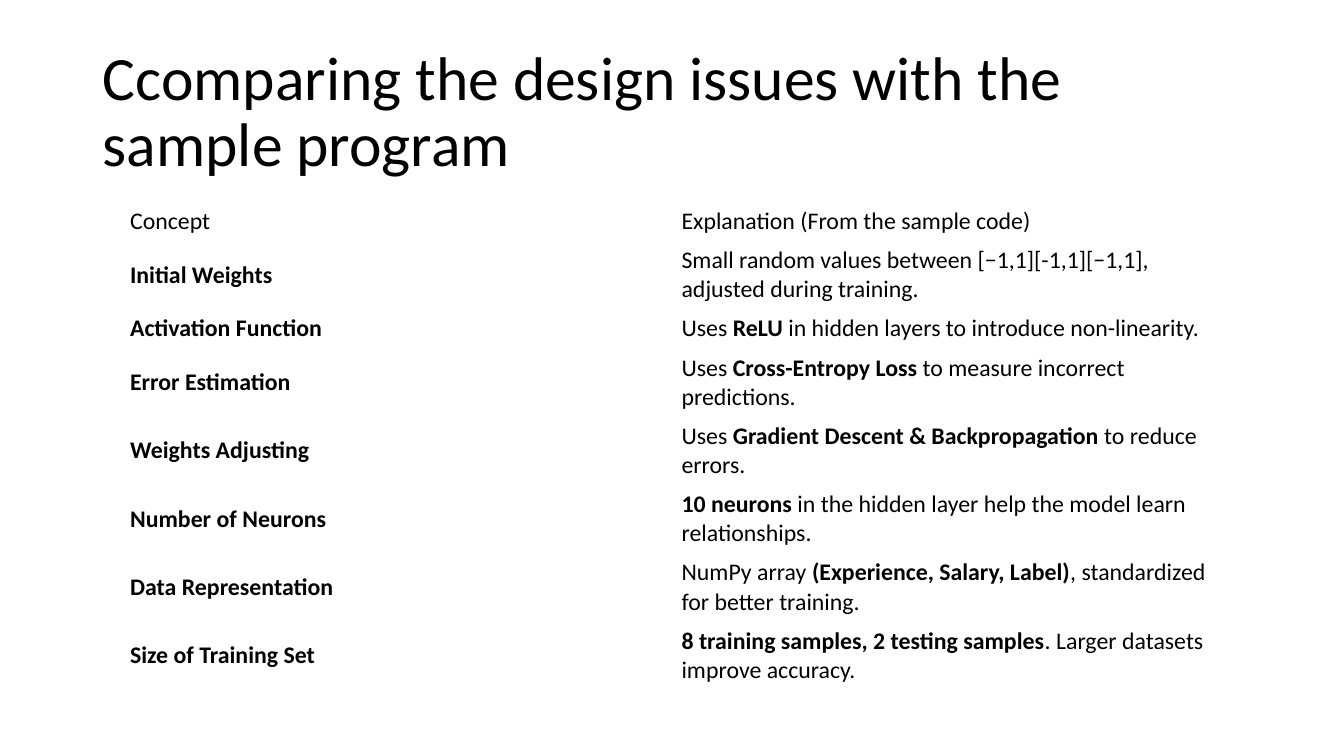
from pptx import Presentation
from pptx.dml.color import RGBColor
from pptx.enum.text import MSO_ANCHOR, MSO_AUTO_SIZE, PP_ALIGN
from pptx.util import Inches, Pt

MIDDLE = MSO_ANCHOR.MIDDLE
LEFT = PP_ALIGN.LEFT
FIXED = MSO_AUTO_SIZE.NONE
FONT = "Calibri"
COLORS = {"text": "000000", "back": "FFFFFF"}
WIDE, HIGH = 13.33, 7.5
TITLE = "Ccomparing the design issues with the sample program"
ROWS = [
    ("Concept", "Explanation (From the sample code)"),
    ("*Initial Weights*",
     "Small random values between [−1,1][-1,1][−1,1], adjusted during training."),
    ("*Activation Function*",
     "Uses *ReLU* in hidden layers to introduce non-linearity."),
    ("*Error Estimation*",
     "Uses *Cross-Entropy Loss* to measure incorrect predictions."),
    ("*Weights Adjusting*",
     "Uses *Gradient Descent & Backpropagation* to reduce errors."),
    ("*Number of Neurons*",
     "*10 neurons* in the hidden layer help the model learn relationships."),
    ("*Data Representation*",
     "NumPy array *(Experience, Salary, Label)*, standardized for better training."),
    ("*Size of Training Set*",
     "*8 training samples, 2 testing samples*. Larger datasets improve accuracy."),
]
LINES = [1, 2, 1, 2, 2, 2, 2, 2]
LINE, PAD = 0.29, 0.09


def add_runs(para, text, size):
    """Add the text run by run, with the parts between asterisks in bold."""
    para.alignment = LEFT
    for i, part in enumerate(text.split("*")):
        if part:
            run = para.add_run()
            run.text = part
            font = run.font
            font.name, font.size, font.bold = FONT, Pt(size), i % 2 == 1
            font.color.rgb = RGBColor.from_string(COLORS["text"])


def add_title(slide, box):
    """Place the title in the given box."""
    title = slide.shapes.title
    title.left, title.top, title.width, title.height = map(Inches, box)
    frame = title.text_frame
    frame.word_wrap = True
    frame.auto_size = FIXED
    frame.vertical_anchor = MIDDLE
    para = frame.paragraphs[0]
    para.line_spacing = 0.9
    add_runs(para, TITLE, 44)


def add_grid(slide, box):
    """Place the table of concepts in the given box, with equal columns."""
    cols = len(ROWS[0])
    table = slide.shapes.add_table(len(ROWS), cols, *map(Inches, box)).table
    table.first_row = table.horz_banding = False
    for col in table.columns:
        col.width = Inches(box[2] / cols)
    for row, texts, lines in zip(table.rows, ROWS, LINES):
        row.height = Inches(lines * LINE + PAD)
        for cell, text in zip(row.cells, texts):
            cell.fill.solid()
            cell.fill.fore_color.rgb = RGBColor.from_string(COLORS["back"])
            cell.vertical_anchor = MIDDLE
            add_runs(cell.text_frame.paragraphs[0], text, 17)


def main():
    """Build the slide and save it."""
    deck = Presentation()
    deck.slide_width, deck.slide_height = Inches(WIDE), Inches(HIGH)
    slide = deck.slides.add_slide(deck.slide_layouts[5])
    add_title(slide, (0.92, 0.4, 11.5, 1.45))
    add_grid(slide, (1.19, 2, 10.94, sum(LINES) * LINE + len(LINES) * PAD))
    deck.save("out.pptx")


if __name__ == "__main__":
    main()
